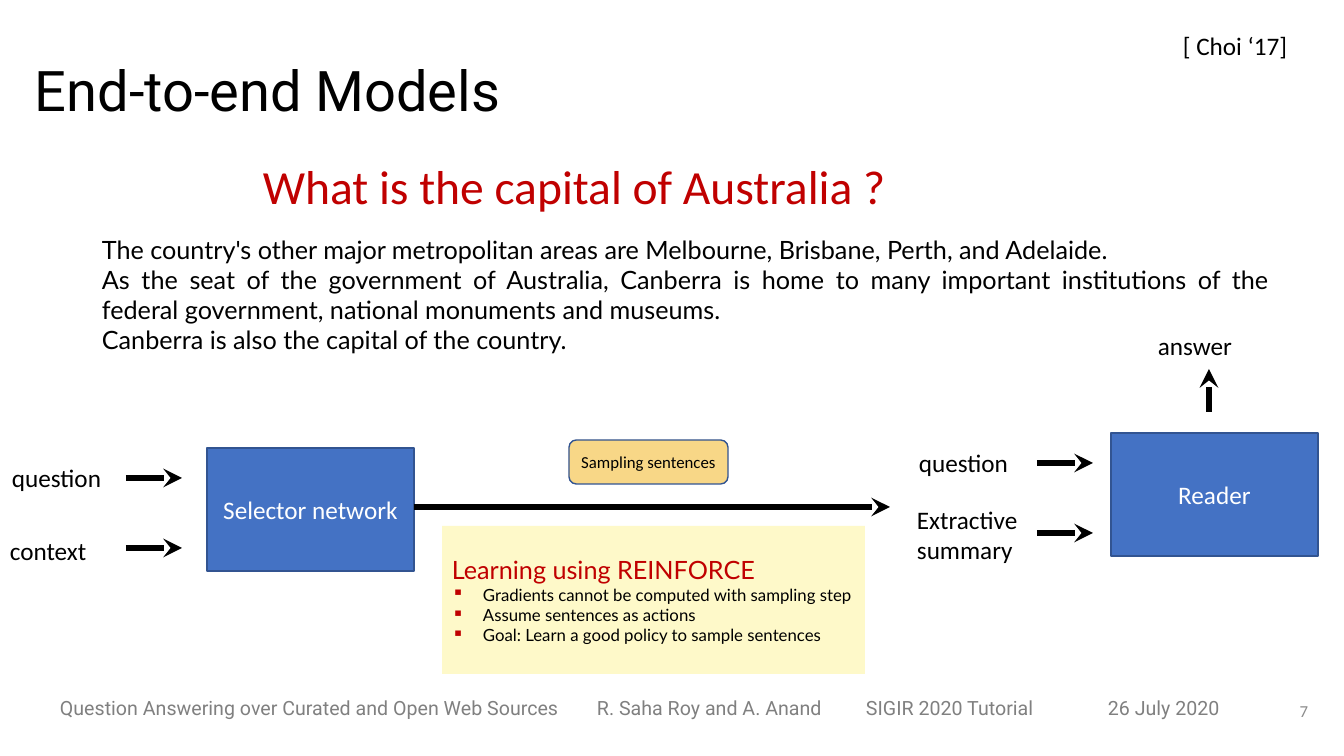
from lxml import etree
from pptx import Presentation
from pptx import util as u
from pptx.dml.color import RGBColor
from pptx.enum import shapes, text
from pptx.oxml import ns

PX = 12700 * 72 / 100.8  # EMU in one px
COLORS = {
    "black": "000000", "white": "FFFFFF", "red": "C00000", "gray": "808080",
    "light_gray": "8C8C8C", "blue": "4472C4", "outline": "325491",
    "gold": "F8D787", "cream": "FEF9C9",
}
LEFT, CENTER, RIGHT, JUSTIFY = (
    text.PP_ALIGN.LEFT, text.PP_ALIGN.CENTER, text.PP_ALIGN.RIGHT, text.PP_ALIGN.JUSTIFY)
TOP, MIDDLE = text.MSO_ANCHOR.TOP, text.MSO_ANCHOR.MIDDLE


def px(*lengths):
    return [u.Emu(round(length * PX)) for length in lengths]


def write(shape, lines, size=18, font="Calibri", color="black", align=LEFT, anchor=TOP):
    frame = shape.text_frame
    frame.word_wrap = True
    frame.vertical_anchor = anchor
    for number, line in enumerate(lines):
        paragraph = frame.paragraphs[0] if number == 0 else frame.add_paragraph()
        paragraph.alignment = align
        run = paragraph.add_run()
        run.text = line
        for name, value in {"size": u.Pt(size), "name": font}.items():
            setattr(run.font, name, value)
        run.font.color.rgb = RGBColor.from_string(COLORS[color])
    return frame.paragraphs


presentation = Presentation()
presentation.slide_width, presentation.slide_height = px(1344, 756)
slide = presentation.slides.add_slide(presentation.slide_layouts[6])

# Title, question, labels and page footer
FOOTER = {"size": 14, "font": "Roboto", "color": "gray"}
text_boxes = [
    ((25, 16, 1159, 146), ["End-to-end Models"],
     {"size": 40, "font": "Roboto", "anchor": MIDDLE}),
    ((1173, 25, 130, 40), ["[ Choi ‘17]"], {}),
    ((253, 152, 798, 68), ["What is the capital of Australia ?"],
     {"size": 34, "color": "red"}),
    ((92, 229, 1187, 131), [
        "The country's other major metropolitan areas are Melbourne, Brisbane, Perth, and Adelaide.",
        "As the seat of the government of Australia, Canberra is home to many important "
        "institutions of the federal government, national monuments and museums.",
        "Canberra is also the capital of the country.",
    ], {"font": "Lato", "align": JUSTIFY}),
    ((2, 457, 121, 40), ["question"], {}),
    ((0, 530, 107, 40), ["context"], {}),
    ((909, 442, 121, 40), ["question"], {}),
    ((907, 499, 143, 72), ["Extractive", "summary"], {}),
    ((1148, 325, 105, 40), ["answer"], {}),
    ((1098, 691, 149, 40), ["26 July 2020"], FOOTER),
    ((1247, 691, 71, 40), ["7"],
     {"size": 12, "color": "light_gray", "align": RIGHT, "anchor": MIDDLE}),
]
for box, lines, style in text_boxes:
    write(slide.shapes.add_textbox(*px(*box)), lines, **style)

# Footer line with tab stops
footer = slide.shapes.add_textbox(*px(50, 691, 1047, 40))
footer_line = write(footer, [
    "Question Answering over Curated and Open Web Sources"
    "\tR. Saha Roy and A. Anand\tSIGIR 2020 Tutorial"], **FOOTER)[0]
tab_list = etree.SubElement(footer_line._p.get_or_add_pPr(), ns.qn("a:tabLst"))
for stop in px(537, 806):
    etree.SubElement(tab_list, ns.qn("a:tab"), pos=str(stop), algn="l")

# Networks, sampling step and learning note
RECT, ROUNDED = shapes.MSO_SHAPE.RECTANGLE, shapes.MSO_SHAPE.ROUNDED_RECTANGLE
NETWORK = {"color": "white", "align": CENTER}
blocks = [
    (RECT, (207, 448, 207, 123), "blue", True, ["Selector network"], NETWORK),
    (RECT, (1111, 433, 207, 123), "blue", True, ["Reader"], NETWORK),
    (ROUNDED, (569, 440, 159, 44), "gold", True, ["Sampling sentences"],
     {"size": 12, "align": CENTER}),
    (RECT, (442, 526, 423, 148), "cream", False, [
        "Learning using REINFORCE",
        "Gradients cannot be computed with sampling step",
        "Assume sentences as actions",
        "Goal: Learn a good policy to sample sentences",
    ], {"size": 12, "font": "Lato"}),
]
for kind, box, fill, outlined, lines, style in blocks:
    block = slide.shapes.add_shape(kind, *px(*box))
    block.shadow.inherit = False
    block.fill.solid()
    block.fill.fore_color.rgb = RGBColor.from_string(COLORS[fill])
    if outlined:
        block.line.color.rgb = RGBColor.from_string(COLORS["outline"])
        block.line.width = u.Pt(1)
    else:
        block.line.fill.background()
    paragraphs = write(block, lines, anchor=MIDDLE, **style)

# Heading and bullets of the learning note
heading = paragraphs[0].runs[0].font
heading.size = u.Pt(18)
heading.color.rgb = RGBColor.from_string(COLORS["red"])
indent = px(31)[0]
for paragraph in paragraphs[1:]:
    properties = paragraph._p.get_or_add_pPr()
    properties.set("marL", str(indent))
    properties.set("indent", str(-indent))
    bullet_color = etree.SubElement(properties, ns.qn("a:buClr"))
    etree.SubElement(bullet_color, ns.qn("a:srgbClr"), val=COLORS["red"])
    etree.SubElement(properties, ns.qn("a:buChar"), char="▪")

# Arrows
arrows = [(x, y + drop, x + 56, y + drop)
          for x, y in [(126, 478), (1037, 463)] for drop in (0, 70)]
arrows += [(414, 507, 890, 507), (1209, 412, 1209, 369)]
for ends in arrows:
    arrow = slide.shapes.add_connector(shapes.MSO_CONNECTOR.STRAIGHT, *px(*ends))
    arrow.line.color.rgb = RGBColor.from_string(COLORS["black"])
    arrow.line.width = u.Pt(4.5)
    etree.SubElement(arrow.line._get_or_add_ln(), ns.qn("a:tailEnd"), type="stealth")
    etree.SubElement(arrow._element.spPr, ns.qn("a:effectLst"))

presentation.save("out.pptx")
